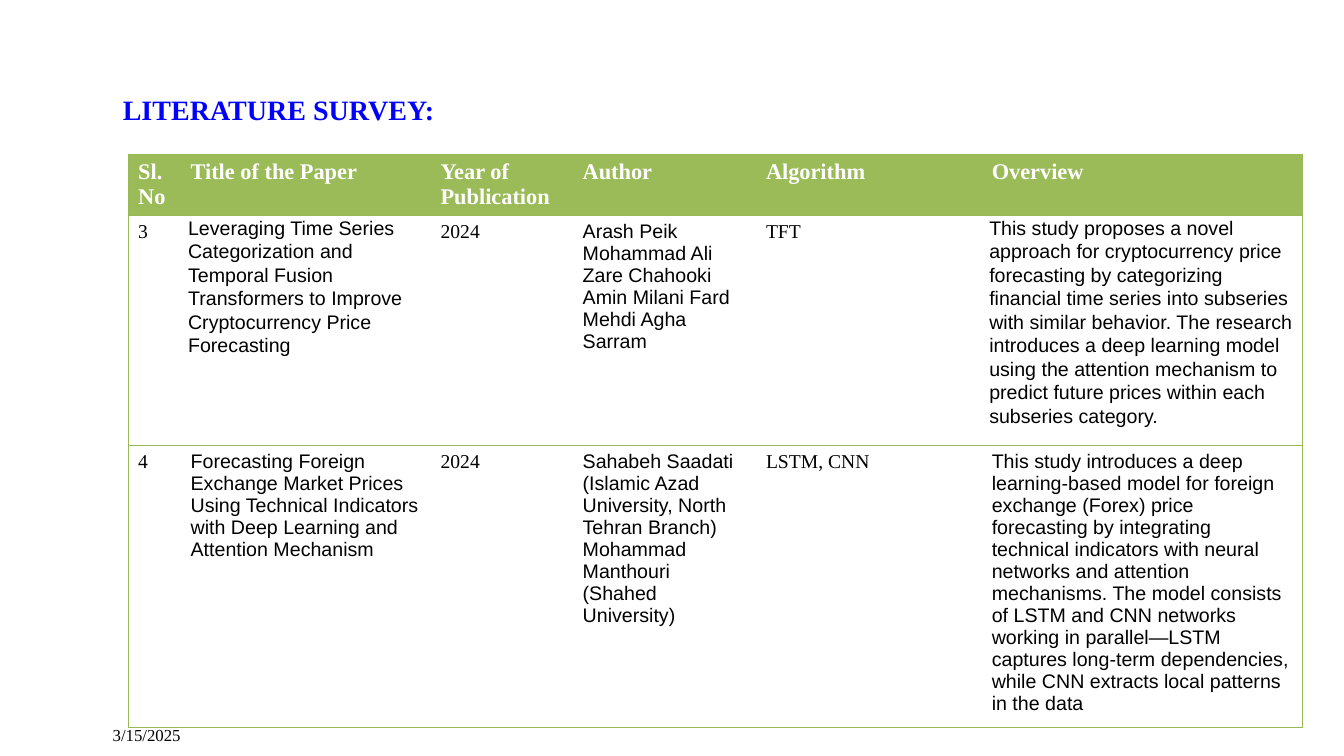
from lxml import etree
from pptx import Presentation
from pptx.dml.color import RGBColor
from pptx.enum.text import MSO_ANCHOR as Anchor, MSO_AUTO_SIZE as AutoSize, PP_ALIGN as Align
from pptx.oxml.ns import qn
from pptx.util import Cm, Pt

BLACK = RGBColor(0x00, 0x00, 0x00)
WHITE = RGBColor(0xFF, 0xFF, 0xFF)
BLUE = RGBColor(0x00, 0x00, 0xFF)
GREEN = RGBColor(0x9B, 0xBB, 0x59)
BORDER = RGBColor(0x98, 0xB9, 0x55)
SERIF, SANS = "Times New Roman", "Arial"

COLUMN_WIDTHS = [1.32, 6.3, 3.58, 4.62, 5.69, 8.08]
ROW_HEIGHTS = [1.55, 5.79, 7.09]
COLUMN_FONTS = [SERIF, SANS, SERIF, SANS, SERIF, SANS]
TIGHT_CELLS = {(1, 1), (1, 5)}  # narrow margins and looser lines
SURVEY = [
    ["Sl. No", "Title of the Paper", "Year of Publication", "Author", "Algorithm", "Overview"],
    ["3",
     "Leveraging Time Series Categorization and Temporal Fusion Transformers to Improve "
     "Cryptocurrency Price Forecasting",
     "2024",
     "Arash Peik Mohammad Ali Zare Chahooki Amin Milani Fard Mehdi Agha Sarram",
     "TFT",
     "This study proposes a novel approach for cryptocurrency price forecasting by categorizing "
     "financial time series into subseries with similar behavior. The research introduces a deep "
     "learning model using the attention mechanism to predict future prices within each "
     "subseries category."],
    ["4",
     "Forecasting Foreign Exchange Market Prices Using Technical Indicators with Deep Learning "
     "and Attention Mechanism",
     "2024",
     "Sahabeh Saadati (Islamic Azad University, North Tehran Branch) Mohammad Manthouri "
     "(Shahed University)",
     "LSTM, CNN",
     "This study introduces a deep learning-based model for foreign exchange (Forex) price "
     "forecasting by integrating technical indicators with neural networks and attention "
     "mechanisms. The model consists of LSTM and CNN networks working in parallel—LSTM captures "
     "long-term dependencies, while CNN extracts local patterns in the data"],
]


def format_runs(p, font, size, color, bold=False):
    for r in p.runs:
        r.font.name, r.font.size, r.font.bold = font, Pt(size), bold
        r.font.color.rgb = color


def set_borders(cell, visible):
    """Draw the named sides (L, R, T, B) and clear the others."""
    tc_pr = cell._tc.get_or_add_tcPr()
    for side in "LRTB":
        ln = etree.SubElement(tc_pr, qn(f"a:ln{side}"), w=str(Pt(0.75)))
        if side in visible:
            fill = etree.SubElement(ln, qn("a:solidFill"))
            etree.SubElement(fill, qn("a:srgbClr"), val=str(BORDER))
        else:
            etree.SubElement(ln, qn("a:noFill"))


def add_title(slide, left, top, width, height):
    title = slide.shapes.title
    title.left, title.top, title.width, title.height = left, top, width, height
    tf = title.text_frame
    tf.text = "LITERATURE SURVEY:"
    tf.auto_size = AutoSize.NONE
    tf.word_wrap = True
    tf.vertical_anchor = Anchor.TOP
    p = tf.paragraphs[0]
    p.alignment = Align.LEFT
    format_runs(p, SERIF, 20, BLUE, bold=True)


def add_survey(slide, left, top):
    frame = slide.shapes.add_table(len(SURVEY), len(COLUMN_WIDTHS), left, top,
                                   Cm(sum(COLUMN_WIDTHS)), Cm(sum(ROW_HEIGHTS)))
    table = frame.table
    table.first_row = table.horz_banding = False
    for column, width in zip(table.columns, COLUMN_WIDTHS):
        column.width = Cm(width)
    for row, height in zip(table.rows, ROW_HEIGHTS):
        row.height = Cm(height)

    last = len(COLUMN_WIDTHS) - 1
    for i, texts in enumerate(SURVEY):
        for j, text in enumerate(texts):
            cell = table.cell(i, j)
            cell.text = text
            p = cell.text_frame.paragraphs[0]
            set_borders(cell, "TB" + ("L" if j == 0 else "") + ("R" if j == last else ""))
            if i == 0:
                cell.fill.solid()
                cell.fill.fore_color.rgb = GREEN
                format_runs(p, SERIF, 16, WHITE, bold=True)
            else:
                cell.fill.background()
                format_runs(p, COLUMN_FONTS[j], 14, BLACK)
            if (i, j) in TIGHT_CELLS:
                cell.margin_left = cell.margin_right = Cm(0.19)
                cell.margin_top = cell.margin_bottom = 0
                p.line_spacing = 1.07
                p.space_after = Pt(8)


def add_date(slide, left, top, width, height):
    tf = slide.shapes.add_textbox(left, top, width, height).text_frame
    tf.word_wrap = True
    tf.vertical_anchor = Anchor.BOTTOM
    tf.margin_left = tf.margin_right = tf.margin_top = tf.margin_bottom = 0
    tf.text = "3/15/2025"
    format_runs(tf.paragraphs[0], SERIF, 12, BLACK)


def main():
    prs = Presentation()
    prs.slide_width, prs.slide_height = Cm(33.87), Cm(19.05)
    slide = prs.slides.add_slide(prs.slide_layouts[5])
    left = Cm(2.84)

    # Heading, survey table, date
    add_title(slide, left, Cm(2.2), Cm(10.57), Cm(1.02))
    add_survey(slide, left + Cm(0.39), Cm(3.89))
    add_date(slide, left, Cm(17.75), Cm(6.65), Cm(1.02))

    prs.save("out.pptx")


if __name__ == "__main__":
    main()
